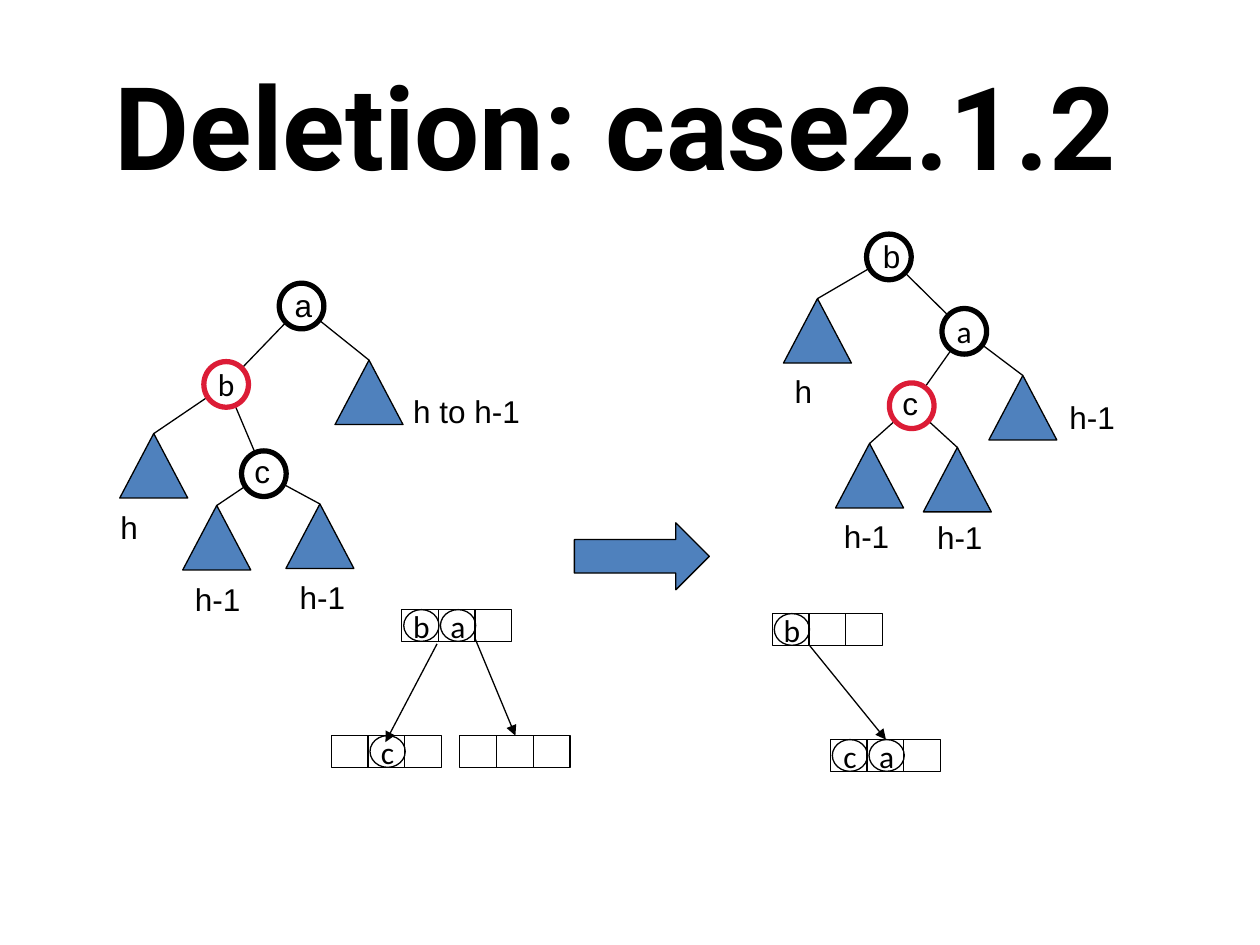
from dataclasses import dataclass

from pptx import Presentation
from pptx import util as u
from pptx.dml.color import RGBColor
from pptx.enum import shapes, text
from pptx.oxml import ns, xmlchemy


@dataclass(frozen=True)
class Theme:
    ink: RGBColor = RGBColor(0x00, 0x00, 0x00)
    paper: RGBColor = RGBColor(0xFF, 0xFF, 0xFF)
    red: RGBColor = RGBColor(0xDC, 0x1C, 0x36)
    blue: RGBColor = RGBColor(0x4F, 0x81, 0xBD)
    thin: u.Pt = u.Pt(0.75)
    thick: u.Pt = u.Pt(3)
    title_size: u.Pt = u.Pt(66)
    body_size: u.Pt = u.Pt(18)
    title_font: str = "Roboto"
    label_font: str = "Arial"
    key_font: str = "Calibri"


THEME = Theme()
KIND = shapes.MSO_SHAPE

# All positions are in centimetres.
NODE_SIZE = (0.9, 0.92)
SUBTREE_SIZE = (1.37, 1.3)
CELL_SIZE = (0.74, 0.64)
KEY_WIDTH = 0.71
LABEL_HEIGHT = 1.02
LABEL_WIDTHS = {"h": 0.86, "h-1": 1.42, "h to h-1": 2.67}
CAPTION_WIDTH = 0.86
# Corner of a caption box, measured from the centre of its node
CAPTION_OFFSETS = {"a": (-0.39, -0.53), "b": (-0.37, -0.53), "c": (-0.44, -0.57)}

# nodes: key -> (centre x, centre y, ring colour, caption in its own box)
# subtrees: (parent, tip x, tip y, height label, label left, label top)
TREES = [
    {
        "nodes": {
            "a": (6.08, 6.17, THEME.ink, True),
            "b": (4.56, 7.75, THEME.red, False),
            "c": (5.32, 9.55, THEME.ink, True),
        },
        "links": ["ab", "bc"],
        "subtrees": [
            ("b", 3.1, 8.74, "h", 2.18, 10.11),
            ("c", 4.37, 10.19, "h-1", 3.68, 11.56),
            ("c", 6.45, 10.16, "h-1", 5.79, 11.53),
            ("a", 7.44, 7.26, "h to h-1", 8.08, 7.77),
        ],
    },
    {
        "nodes": {
            "b": (17.92, 5.18, THEME.ink, True),
            "a": (19.44, 6.68, THEME.ink, False),
            "c": (18.38, 8.18, THEME.red, True),
        },
        "links": ["ba", "ac"],
        "subtrees": [
            ("b", 16.48, 6.02, "h", 15.77, 7.37),
            ("c", 17.53, 8.94, "h-1", 16.76, 10.29),
            ("c", 19.3, 9.02, "h-1", 18.64, 10.31),
            ("a", 20.62, 7.57, "h-1", 21.31, 7.9),
        ],
    },
]

# Multiway nodes: left, top, keys in cell order
RECORDS = [
    (8.1, 12.29, "ba"),
    (6.68, 14.83, " c"),
    (9.27, 14.83, ""),
    (15.57, 12.37, "b"),
    (16.74, 14.91, "ca"),
]
POINTERS = [
    ((8.81, 12.98), (7.77, 14.96)),
    ((9.58, 12.88), (10.39, 14.83)),
    ((16.31, 13), (17.86, 14.91)),
]


def cm(*lengths):
    return [u.Cm(length) for length in lengths]


def set_all(target, values):
    for name, value in values.items():
        setattr(target, name, value)


def write(shape, words, font, size=THEME.body_size, bold=False,
          align=text.PP_ALIGN.CENTER, **frame_format):
    frame = shape.text_frame
    set_all(frame, {"word_wrap": False,
                    "vertical_anchor": text.MSO_ANCHOR.MIDDLE, **frame_format})
    paragraph = frame.paragraphs[0]
    paragraph.alignment = align
    run = paragraph.add_run()
    run.text = words
    set_all(run.font, {"name": font, "size": size, "bold": bold})
    run.font.color.rgb = THEME.ink


def add_outline(parent, kind, box, fill=None, ring=THEME.ink, width=THEME.thin):
    """Add a preset shape, hollow unless a fill is given."""
    shape = parent.shapes.add_shape(kind, *cm(*box))
    shape.shadow.inherit = False
    if fill is None:
        shape.fill.background()
    else:
        shape.fill.solid()
        shape.fill.fore_color.rgb = fill
    shape.line.color.rgb = ring
    shape.line.width = width
    return shape


def add_line(slide, start, end, arrow=False):
    line = slide.shapes.add_connector(shapes.MSO_CONNECTOR.STRAIGHT, *cm(*start, *end))
    line.line.color.rgb = THEME.ink
    line.line.width = THEME.thin
    if arrow:
        tail = xmlchemy.OxmlElement("a:tailEnd")
        tail.set("type", "triangle")
        line.line._get_or_add_ln().append(tail)
    properties = line._element.find(ns.qn("p:spPr"))
    properties.append(xmlchemy.OxmlElement("a:effectLst"))


def add_label(slide, words, left, top, width):
    label = slide.shapes.add_textbox(*cm(left, top, width, LABEL_HEIGHT))
    write(label, words, THEME.label_font, align=text.PP_ALIGN.LEFT,
          vertical_anchor=text.MSO_ANCHOR.TOP,
          auto_size=text.MSO_AUTO_SIZE.SHAPE_TO_FIT_TEXT)


def add_node(slide, key, x, y, ring, own_caption):
    width, height = NODE_SIZE
    node = add_outline(slide, KIND.OVAL, (x - width / 2, y - height / 2, width, height),
                       THEME.paper, ring, THEME.thick)
    if own_caption:
        dx, dy = CAPTION_OFFSETS[key]
        add_label(slide, key, x + dx, y + dy, CAPTION_WIDTH)
    else:
        write(node, key, THEME.key_font)


def add_tree(slide, nodes, links, subtrees):
    for upper, lower in links:
        add_line(slide, nodes[upper][:2], nodes[lower][:2])
    for parent, x, y, *_ in subtrees:
        add_line(slide, nodes[parent][:2], (x, y))
    for key, node in nodes.items():
        add_node(slide, key, *node)
    for _, x, y, height, left, top in subtrees:
        add_outline(slide, KIND.FLOWCHART_EXTRACT,
                    (x - SUBTREE_SIZE[0] / 2, y, *SUBTREE_SIZE), THEME.blue)
        add_label(slide, height, left, top, LABEL_WIDTHS[height])


def add_record(slide, left, top, keys):
    """Draw three joined cells with a circled key in each used one."""
    record = slide.shapes.add_group_shape()
    width, height = CELL_SIZE
    for column, key in enumerate(keys.ljust(3)):
        x = left + column * width
        add_outline(record, KIND.RECTANGLE, (x, top, width, height))
        if key.strip():
            circle = add_outline(record, KIND.OVAL, (x + 0.04, top, KEY_WIDTH, height))
            write(circle, key, THEME.key_font)


def add_title(slide):
    title = slide.shapes.add_textbox(*cm(1.27, 0.91, 22.86, 3.18))
    write(title, "Deletion: case2.1.2 ", THEME.title_font, THEME.title_size,
          bold=True, word_wrap=True)


def main():
    deck = Presentation()
    set_all(deck, {"slide_width": u.Cm(25.4), "slide_height": u.Cm(19.05)})
    slide = deck.slides.add_slide(deck.slide_layouts[6])
    add_title(slide)
    for tree in TREES:
        add_tree(slide, **tree)
    for record in RECORDS:
        add_record(slide, *record)
    for start, end in POINTERS:
        add_line(slide, start, end, arrow=True)
    add_outline(slide, KIND.RIGHT_ARROW, (11.58, 10.54, 2.72, 1.35), THEME.blue)
    deck.save("out.pptx")


if __name__ == "__main__":
    main()
